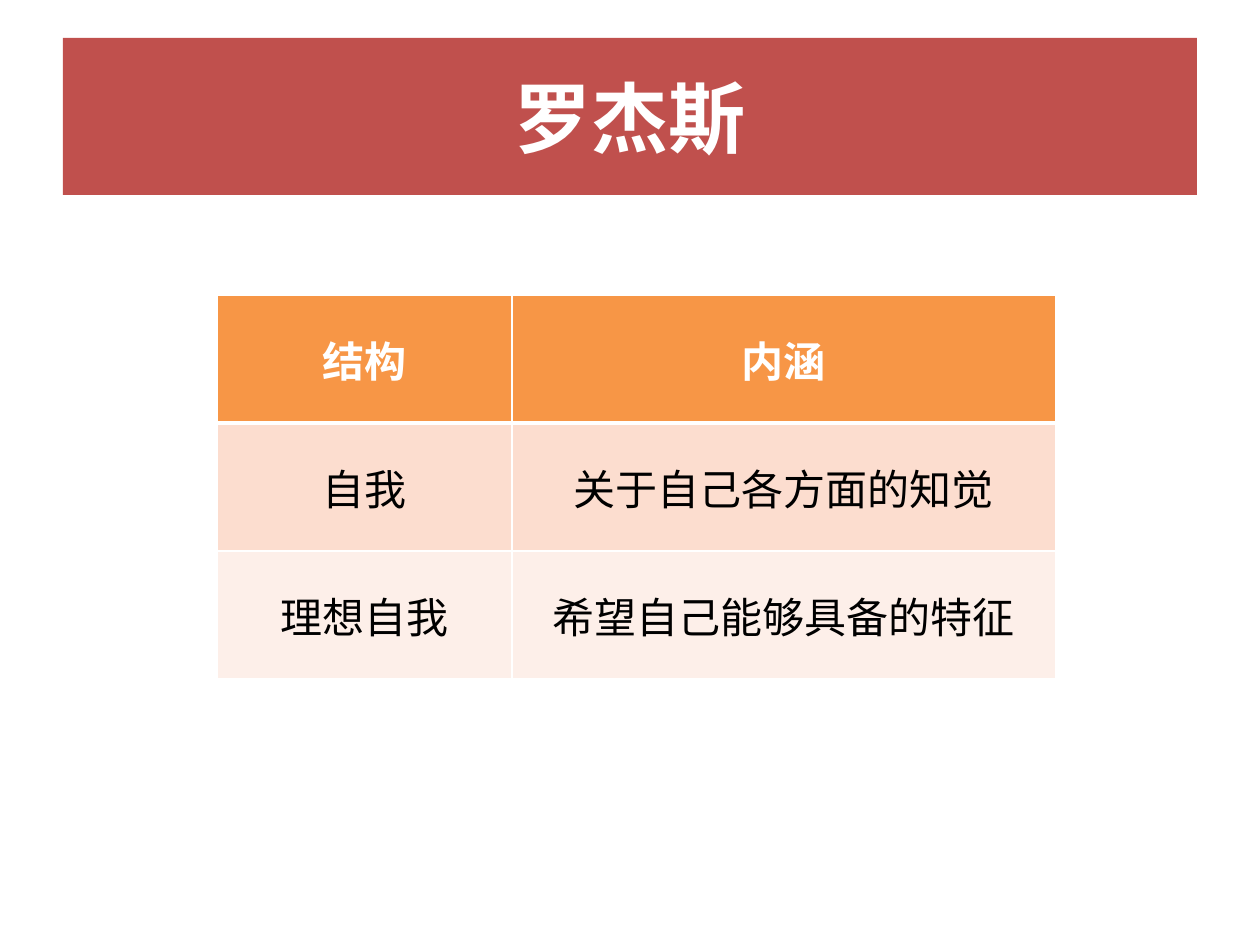
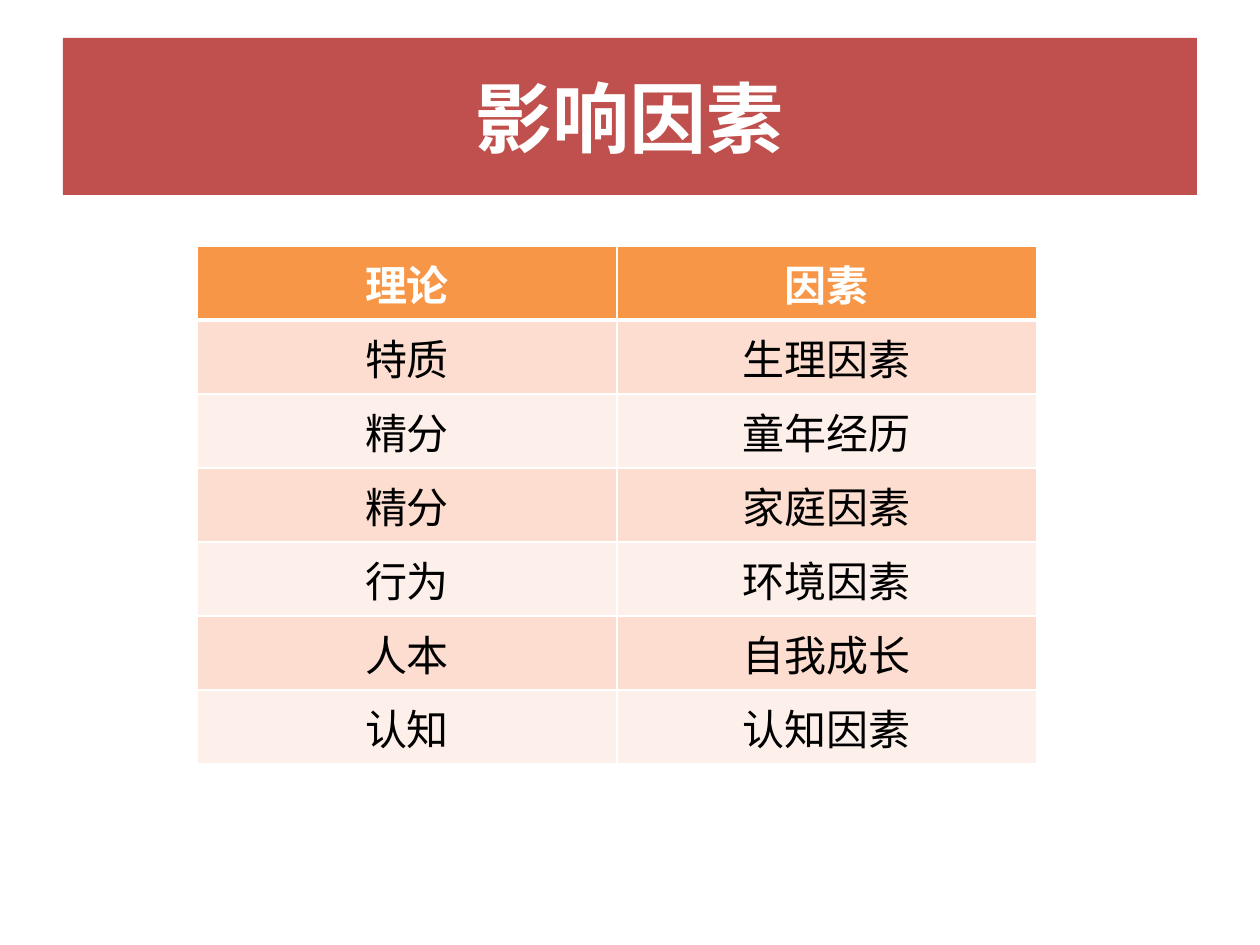
from dataclasses import dataclass

from lxml.etree import SubElement
from pptx import Presentation
from pptx.dml.color import RGBColor
from pptx.enum.shapes import MSO_SHAPE as Shape
from pptx.enum.text import MSO_ANCHOR as Anchor, PP_ALIGN as Align
from pptx.oxml.ns import qn
from pptx.slide import Slide
from pptx.table import _Cell as Cell
from pptx.text.text import TextFrame
from pptx.util import Emu, Pt

PX_PER_INCH = 126
SLIDE_SIZE = (1260, 945)
TITLE_BAND = (63, 38, 1134, 157)
FONT = "Calibri"
TITLE_SIZE, TABLE_SIZE = 44, 24
THIN, THICK = 1, 3
COLORS = {
    "title_band": "C0504D",
    "header": "F79646",
    "odd_row": "FCDDCF",
    "even_row": "FDEFE9",
    "light": "FFFFFF",
    "dark": "000000",
}


@dataclass(frozen=True)
class TableSlide:
    title: str
    left: int
    top: int
    column_widths: tuple[int, ...]
    row_height: int
    rows: tuple[tuple[str, ...], ...]


SLIDES = (
    TableSlide("罗杰斯", 217, 295, (295, 544), 128, (
        ("结构", "内涵"),
        ("自我", "关于自己各方面的知觉"),
        ("理想自我", "希望自己能够具备的特征"),
    )),
    TableSlide("影响因素", 197, 246, (420, 420), 74, (
        ("理论", "因素"),
        ("特质", "生理因素"),
        ("精分", "童年经历"),
        ("精分", "家庭因素"),
        ("行为", "环境因素"),
        ("人本", "自我成长"),
        ("认知", "认知因素"),
    )),
)


def px(length: int) -> Emu:
    return Emu(round(length * 914400 / PX_PER_INCH))


def color(name: str) -> RGBColor:
    return RGBColor.from_string(COLORS[name])


def write_centered(text_frame: TextFrame, text: str, size: int,
                   color_name: str, bold: bool) -> None:
    text_frame.text = text
    paragraph = text_frame.paragraphs[0]
    paragraph.alignment = Align.CENTER
    font = paragraph.runs[0].font
    font.name, font.size, font.bold = FONT, Pt(size), bold
    font.color.rgb = color(color_name)


def add_title_band(slide: Slide, title: str) -> None:
    band = slide.shapes.add_shape(Shape.RECTANGLE, *map(px, TITLE_BAND))
    band.shadow.inherit = False
    band.fill.solid()
    band.fill.fore_color.rgb = color("title_band")
    band.line.fill.background()
    band.text_frame.vertical_anchor = Anchor.MIDDLE
    write_centered(band.text_frame, title, TITLE_SIZE, "light", True)


def add_borders(cell: Cell, top: int, bottom: int) -> None:
    """Draw light borders; must run before the fill, which follows them in the XML."""
    properties = cell._tc.get_or_add_tcPr()
    for side, width in (("L", THIN), ("R", THIN), ("T", top), ("B", bottom)):
        line = SubElement(properties, qn(f"a:ln{side}"), w=str(Pt(width)))
        fill = SubElement(line, qn("a:solidFill"))
        SubElement(fill, qn("a:srgbClr"), val=COLORS["light"])


def format_cell(cell: Cell, text: str, row_index: int) -> None:
    is_header = row_index == 0
    add_borders(cell, THICK if row_index == 1 else THIN, THICK if is_header else THIN)
    cell.fill.solid()
    band = "odd_row" if row_index % 2 else "even_row"
    cell.fill.fore_color.rgb = color("header" if is_header else band)
    cell.vertical_anchor = Anchor.MIDDLE
    write_centered(cell.text_frame, text, TABLE_SIZE,
                   "light" if is_header else "dark", is_header)


def add_content_table(slide: Slide, content: TableSlide) -> None:
    row_count, column_count = len(content.rows), len(content.column_widths)
    table = slide.shapes.add_table(
        row_count, column_count, px(content.left), px(content.top),
        px(sum(content.column_widths)), px(content.row_height * row_count)).table
    for column, width in zip(table.columns, content.column_widths):
        column.width = px(width)
    for row_index, texts in enumerate(content.rows):
        table.rows[row_index].height = px(content.row_height)
        for column_index, text in enumerate(texts):
            format_cell(table.cell(row_index, column_index), text, row_index)


def main() -> None:
    presentation = Presentation()
    presentation.slide_width, presentation.slide_height = map(px, SLIDE_SIZE)
    blank_layout = presentation.slide_layouts[6]
    for content in SLIDES:
        slide = presentation.slides.add_slide(blank_layout)
        add_title_band(slide, content.title)
        add_content_table(slide, content)
    presentation.save("out.pptx")


if __name__ == "__main__":
    main()
